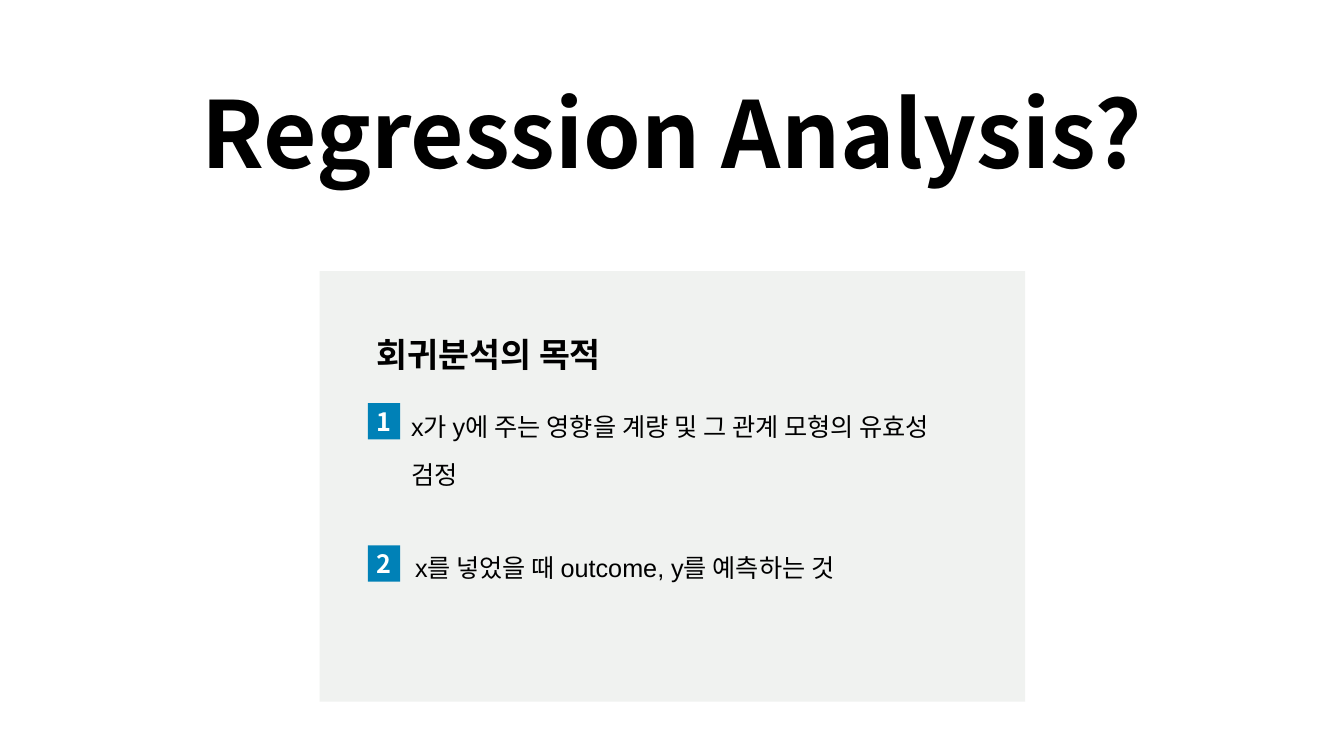
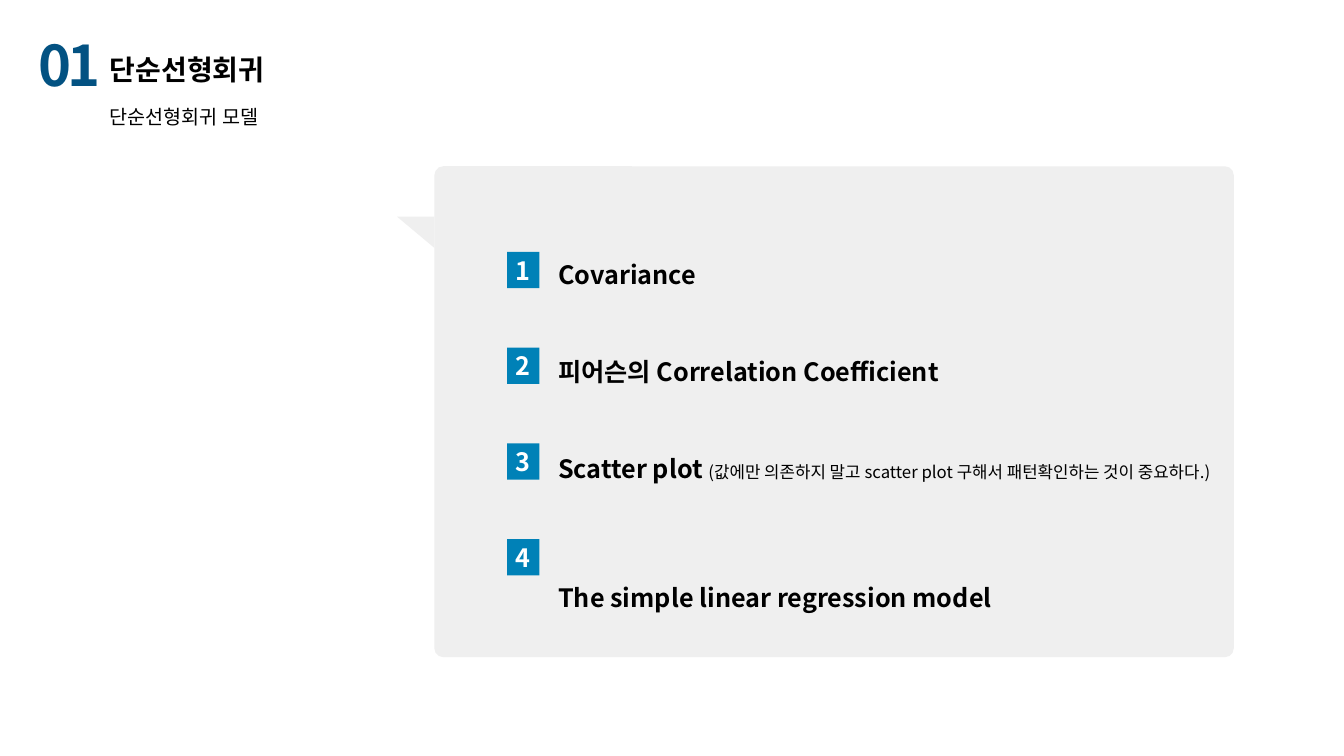
import collections

import pptx
import pptx.dml.color
import pptx.enum.shapes
import pptx.enum.text
import pptx.util

# The slide is a grid of square cells, 10 to the inch: 75 rows high.
CELL = pptx.util.Inches(0.1)
COLUMNS, ROWS = 133.33, 75

BLACK = "000000"
WHITE = "FFFFFF"
BADGE_BLUE = "0081B7"
NUMBER_BLUE = "035282"
PANEL_GREEN_GREY = "F0F2F0"
BUBBLE_GREY = "EFEFEF"

SANS = "Noto Sans CJK KR"
ARIAL = "Arial"
LEFT = pptx.enum.text.PP_ALIGN.LEFT
CENTER = pptx.enum.text.PP_ALIGN.CENTER
JUSTIFY = pptx.enum.text.PP_ALIGN.JUSTIFY
SHAPES = pptx.enum.shapes.MSO_SHAPE

Box = collections.namedtuple("Box", "column row width height")


def inside(box, column, row, width, height):
    """Return a box whose corner is counted from the corner of another."""
    return Box(box.column + column, box.row + row, width, height)


def lengths(box):
    return [round(value * CELL) for value in box]


def color(hex_string):
    return pptx.dml.color.RGBColor.from_string(hex_string)


def add_run(paragraph, text, size=18, font=SANS, ink=BLACK, bold=False,
            spacing=None):
    run = paragraph.add_run()
    run.text = text
    run.font.size = pptx.util.Pt(size)
    run.font.name = font
    run.font.bold = bold
    run.font.color.rgb = color(ink)
    if spacing is not None:
        run.font._element.set("spc", str(round(spacing * 100)))


def add_text(slide, box, text, align=LEFT, line_spacing=None, wrap=True,
             note=None, **font_format):
    """Add a text box; a note follows the text in small regular type."""
    shape = slide.shapes.add_textbox(*lengths(box))
    shape.text_frame.word_wrap = wrap
    paragraph = shape.text_frame.paragraphs[0]
    paragraph.alignment = align
    if line_spacing:
        paragraph.line_spacing = line_spacing
    add_run(paragraph, text, **font_format)
    if note:
        add_run(paragraph, note, size=12)


def add_block(slide, box, fill, kind=SHAPES.RECTANGLE):
    shape = slide.shapes.add_shape(kind, *lengths(box))
    shape.shadow.inherit = False
    shape.fill.solid()
    shape.fill.fore_color.rgb = color(fill)
    shape.line.fill.background()
    return shape


def add_badge(slide, box, number):
    frame = add_block(slide, box, BADGE_BLUE).text_frame
    frame.margin_left = frame.margin_right = 0
    frame.margin_top = frame.margin_bottom = 0
    frame.vertical_anchor = pptx.enum.text.MSO_ANCHOR.MIDDLE
    frame.word_wrap = False
    frame.paragraphs[0].alignment = CENTER
    add_run(frame.paragraphs[0], str(number), ink=WHITE, bold=True)


def add_purpose_panel(slide, box):
    add_block(slide, box, PANEL_GREEN_GREY)
    body = dict(align=JUSTIFY, line_spacing=1.6, font=ARIAL)
    add_text(slide, inside(box, 4.7, 3.3, 37.1, 6.6), "회귀분석의 목적",
             size=24, bold=True, **body)
    for number, row in ((1, 13.1), (2, 27.2)):
        add_badge(slide, inside(box, 4.8, row, 3.2, 3.6), number)
    add_text(slide, inside(box, 8.1, 11.6, 53.4, 10.7),
             "x가 y에 주는 영향을 계량 및 그 관계 모형의 유효성 검정", **body)
    add_text(slide, inside(box, 8.5, 25.6, 48.2, 5.2),
             "x를 넣었을 때 outcome, y를 예측하는 것", wrap=False, **body)


def add_section_header(slide, box, number, title, subtitle):
    add_text(slide, inside(box, 0, 0, 10, 7.7), number, align=CENTER,
             size=40, ink=NUMBER_BLUE, bold=True, spacing=-3)
    add_text(slide, inside(box, 8, 2.2, 20.3, 4.4), title, size=20, bold=True)
    add_text(slide, inside(box, 8, 6.2, 20.3, 4.5), subtitle, size=14,
             line_spacing=1.5)


def add_topic_bubble(slide, box, topics):
    """Draw a speech bubble of numbered topics: (text, note, extra drop)."""
    bubble = add_block(slide, box, BUBBLE_GREY, SHAPES.ROUNDED_RECTANGLE)
    bubble.adjustments[0] = 0.018
    tail = add_block(slide, inside(box, -3.7, 5, 3.7, 3.1), BUBBLE_GREY,
                     SHAPES.RIGHT_TRIANGLE)
    tail.rotation = 180
    for index, (text, note, drop) in enumerate(topics):
        add_badge(slide, inside(box, 7.2, 8.5 + 9.5 * index, 3.2, 3.6),
                  index + 1)
        add_text(slide, inside(box, 11.3, 6.9 + 9.63 * index + drop, 66.7, 5.2),
                 text, align=JUSTIFY, line_spacing=1.6, bold=True, note=note)


def add_question_slide(slide):
    add_text(slide, Box(18.5, 7.1, 96.3, 12.1), "Regression Analysis?",
             align=CENTER, size=66, bold=True)
    add_purpose_panel(slide, Box(31.7, 26.9, 70, 42.7))


def add_model_slide(slide):
    add_section_header(slide, Box(1.9, 2.5, 28.3, 10.7), "01",
                       "단순선형회귀", "단순선형회귀 모델")
    add_topic_bubble(slide, Box(43.1, 16.5, 79.3, 48.7), (
        ("Covariance", None, 0),
        ("피어슨의 Correlation Coefficient", None, 0),
        ("Scatter plot ", "(값에만 의존하지 말고 scatter plot 구해서 "
         "패턴확인하는 것이 중요하다.)", 0),
        ("The simple linear regression model", None, 3.2),
    ))


def main():
    presentation = pptx.Presentation()
    presentation.slide_width = round(COLUMNS * CELL)
    presentation.slide_height = ROWS * CELL
    blank_layout = presentation.slide_layouts[6]
    for fill_slide in (add_question_slide, add_model_slide):
        fill_slide(presentation.slides.add_slide(blank_layout))
    presentation.save("out.pptx")


if __name__ == "__main__":
    main()
